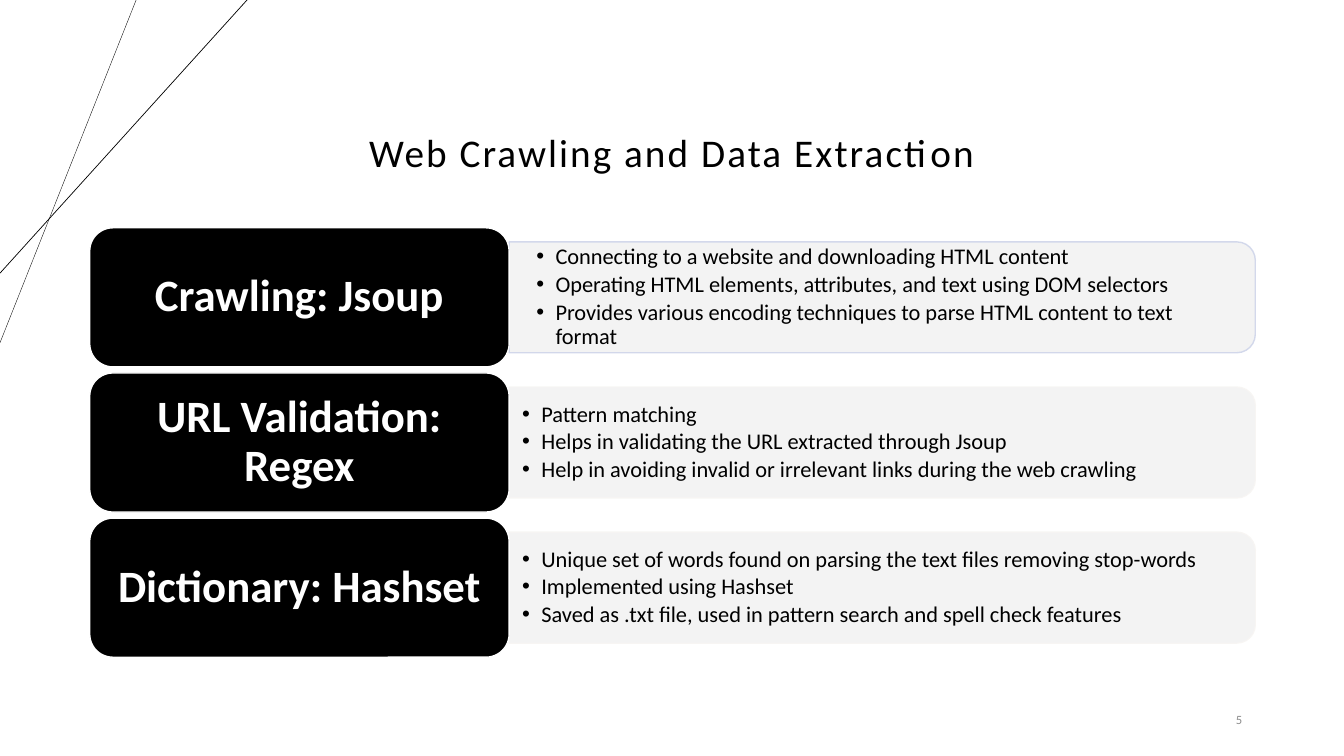
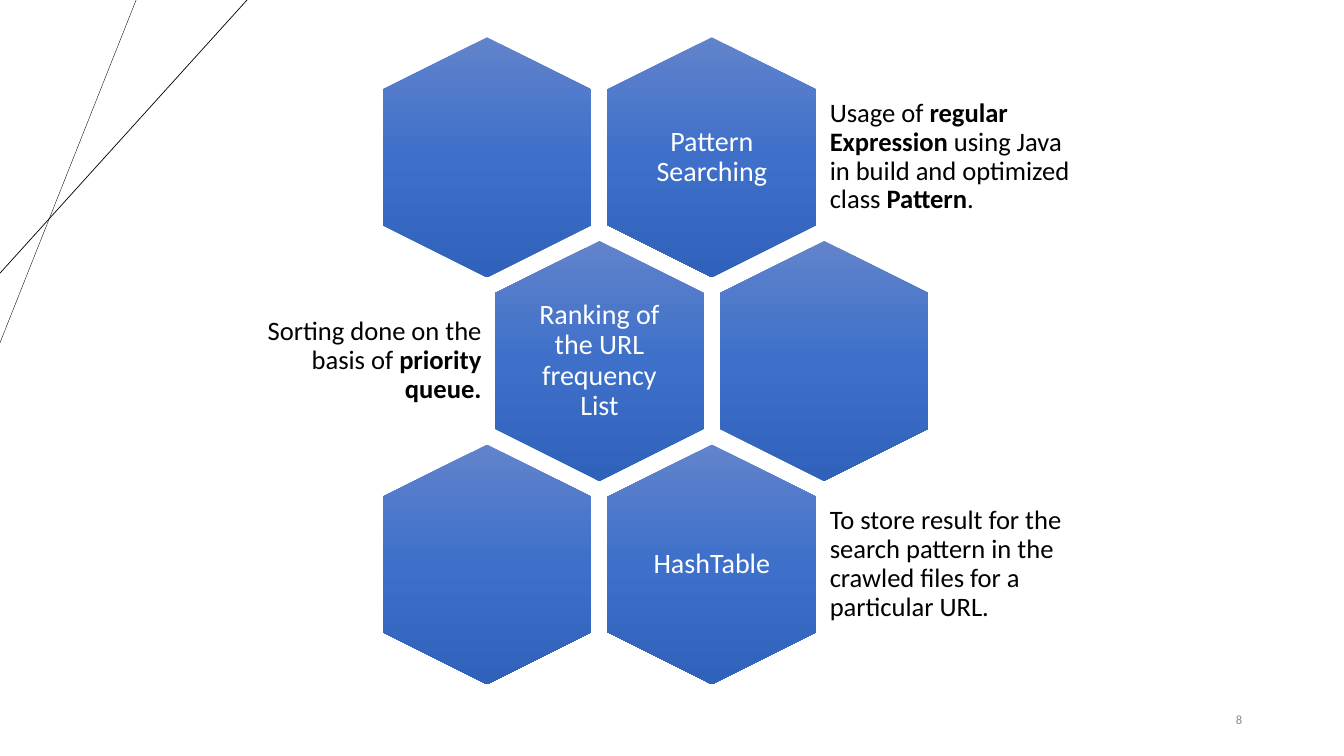
from lxml.etree import SubElement
from pptx import Presentation
from pptx.dml.color import RGBColor
from pptx.enum.shapes import MSO_CONNECTOR, MSO_SHAPE as SHAPE
from pptx.enum.text import MSO_ANCHOR as ANCHOR, PP_ALIGN as ALIGN
from pptx.oxml import parse_xml
from pptx.oxml.ns import nsdecls, qn
from pptx.util import Inches, Pt

# Shared look
SLIDE_W, SLIDE_H = 13.33, 7.5
FONT = "Calibri"
BLACK = RGBColor(0x00, 0x00, 0x00)
WHITE = RGBColor(0xFF, 0xFF, 0xFF)
GREY = RGBColor(0x8C, 0x8C, 0x8C)
PANEL = RGBColor(0xF2, 0xF2, 0xF2)
PANEL_EDGE = RGBColor(0xF7, 0xF5, 0xF3)
FIRST_EDGE = RGBColor(0xCF, 0xD5, 0xEA)
HEX_STOPS = [(0, "6183CB"), (50, "3E70CA"), (100, "3062BB")]

TITLE = dict(size=Pt(28), color=BLACK)
NUMBER = dict(size=Pt(9), color=GREY)
ROW_LABEL = dict(size=Pt(32), color=WHITE, bold=True)
BULLET = dict(size=Pt(16), color=BLACK)
HEX_LABEL = dict(size=Pt(20), color=WHITE)
CAPTION = dict(size=Pt(19), color=BLACK)

# Row grid: label column, panel column, row pitch
ROW_TOP, ROW_PITCH, LABEL_H = 2.26, 1.44, 1.38
LABEL_X, LABEL_W = 0.89, 4.16
PANEL_X, PANEL_W, PANEL_H = LABEL_X + LABEL_W, 7.4, 1.1

# Honeycomb grid: centre of the first cell and steps between cells
HEX_X, HEX_Y, HEX_DX, HEX_DY = 4.83, 1.56, 2.23, 2.02
HEX_LONG, HEX_SHORT = 2.38, 2.07
CAPTION_GAP, CAPTION_W, CAPTION_H = 1.09, 2.65, 1.43

ROWS = [
    ("Crawling: Jsoup", FIRST_EDGE, (0.27, 0.14), [
        "Connecting to a website and downloading HTML content",
        "Operating HTML elements, attributes, and text using DOM selectors",
        "Provides various encoding techniques to parse HTML content to text format"]),
    ("URL Validation: Regex", PANEL_EDGE, (0.13, 0.06), [
        "Pattern matching",
        "Helps in validating the URL extracted through Jsoup",
        "Help in avoiding invalid or irrelevant links during the web crawling"]),
    ("Dictionary: Hashset", PANEL_EDGE, (0.13, 0.06), [
        "Unique set of words found on parsing the text files removing stop-words",
        "Implemented using Hashset",
        "Saved as .txt file, used in pattern search and spell check features"]),
]

# Column, row, label, caption side and caption runs (text, bold)
CELLS = [
    (1, 0, "Pattern Searching", ALIGN.LEFT, [
        ("Usage of ", False), ("regular Expression", True),
        (" using Java in build and optimized class ", False),
        ("Pattern", True), (".", False)]),
    (0, 0, None, None, None),
    (0.5, 1, "Ranking of the URL frequency List", ALIGN.RIGHT, [
        ("Sorting done on the basis of ", False), ("priority queue.", True)]),
    (1.5, 1, None, None, None),
    (1, 2, "HashTable", ALIGN.LEFT, [
        ("To store result for the search pattern in the crawled files "
         "for a particular URL.", False)]),
    (0, 2, None, None, None),
]


def box(x, y, w, h):
    return [Inches(v) for v in (x, y, w, h)]


def centred(cx, cy, w, h):
    return box(cx - w / 2, cy - h / 2, w, h)


def add_run(p, text, fmt, bold=None):
    r = p.add_run()
    r.text = text
    r.font.name = FONT
    for name, value in fmt.items():
        if name == "color":
            r.font.color.rgb = value
        else:
            setattr(r.font, name, value)
    if bold is not None:
        r.font.bold = bold
    return r


def prepare_frame(s, inset=(0.1, 0.05)):
    tf = s.text_frame
    across, down = (Inches(v) for v in inset)
    frame = dict(word_wrap=True, vertical_anchor=ANCHOR.MIDDLE,
                 margin_left=across, margin_right=across,
                 margin_top=down, margin_bottom=down)
    for name, value in frame.items():
        setattr(tf, name, value)
    return tf


def write_line(s, runs, fmt, align, inset=(0.08, 0.08)):
    p = prepare_frame(s, inset).paragraphs[0]
    p.alignment, p.line_spacing = align, 0.9
    return [add_run(p, text, fmt, bold) for text, bold in runs]


def add_text(slide, place, runs, fmt, align, **frame):
    return write_line(slide.shapes.add_textbox(*place), runs, fmt, align, **frame)


def add_bullets(slide, place, items, inset):
    tf = prepare_frame(slide.shapes.add_textbox(*place), inset)
    for i, item in enumerate(items):
        p = tf.add_paragraph() if i else tf.paragraphs[0]
        p.line_spacing, p.space_after = 0.9, Pt(2.4)
        pPr = p._p.get_or_add_pPr()
        pPr.set("marL", str(Inches(0.19)))
        pPr.set("indent", str(-Inches(0.19)))
        SubElement(pPr, qn("a:buFont"), typeface="Arial")
        SubElement(pPr, qn("a:buChar"), char="•")
        add_run(p, item, BULLET)


def add_block(slide, kind, place, fill, edge):
    s = slide.shapes.add_shape(kind, *place)
    s.shadow.inherit = False
    s.fill.solid()
    s.fill.fore_color.rgb = fill
    s.line.color.rgb = edge
    s.line.width = Pt(1)
    return s


def add_base(prs, number):
    """Blank slide with the crossing corner lines and the slide number."""
    slide = prs.slides.add_slide(prs.slide_layouts[6])
    for top_x, left_y, width in ((1.35, 3.4, 0.25), (2.45, 2.71, 0.5)):
        line = slide.shapes.add_connector(
            MSO_CONNECTOR.STRAIGHT, *box(top_x, 0, 0, left_y))
        line.line.color.rgb = BLACK
        line.line.width = Pt(width)
        SubElement(line._element.spPr, qn("a:effectLst"))
    add_text(slide, box(SLIDE_W - 3.91, SLIDE_H - 0.55, 3, 0.4),
             [(number, None)], NUMBER, ALIGN.RIGHT, inset=(0.1, 0.05))
    return slide


def add_row(slide, index, label, edge, inset, items):
    top = ROW_TOP + index * ROW_PITCH
    middle = top + LABEL_H / 2
    # Panel turned so that its round corners face right
    panel = add_block(slide, SHAPE.ROUND_2_SAME_RECTANGLE,
                      centred(PANEL_X + PANEL_W / 2, middle, PANEL_H, PANEL_W),
                      PANEL, edge)
    panel.rotation = 90
    for color in panel._element.spPr.iter(qn("a:srgbClr")):
        SubElement(color, qn("a:alpha"), val="90000")
    add_bullets(slide, box(PANEL_X, middle - 0.5, 7.34, 1), items, inset)
    # Label
    s = add_block(slide, SHAPE.ROUNDED_RECTANGLE,
                  box(LABEL_X, top, LABEL_W, LABEL_H), BLACK, WHITE)
    write_line(s, [(label, None)], ROW_LABEL, ALIGN.CENTER, inset=(0.13, 0.07))


def add_hexagon(slide, cx, cy):
    s = slide.shapes.add_shape(
        SHAPE.HEXAGON, *centred(cx, cy, HEX_LONG, HEX_SHORT))
    s.rotation = 90
    s.shadow.inherit = False
    s.line.fill.background()
    s.fill.gradient()
    stops = "".join(f'<a:gs pos="{pos * 1000}"><a:srgbClr val="{color}"/></a:gs>'
                    for pos, color in HEX_STOPS)
    spPr = s._element.spPr
    spPr.replace(spPr.find(qn("a:gradFill")), parse_xml(
        f'<a:gradFill {nsdecls("a")} rotWithShape="0"><a:gsLst>{stops}</a:gsLst>'
        '<a:lin ang="5400000" scaled="0"/></a:gradFill>'))


def add_cell(slide, col, row, label, side, caption):
    cx, cy = HEX_X + col * HEX_DX, HEX_Y + row * HEX_DY
    add_hexagon(slide, cx, cy)
    if label:
        add_text(slide, centred(cx, cy, 1.42, 1.64),
                 [(label, None)], HEX_LABEL, ALIGN.CENTER)
        x = cx + CAPTION_GAP
        if side == ALIGN.RIGHT:
            x = cx - CAPTION_GAP - CAPTION_W
        add_text(slide, box(x, cy - CAPTION_H / 2, CAPTION_W, CAPTION_H),
                 caption, CAPTION, side)


def main():
    prs = Presentation()
    prs.slide_width, prs.slide_height = Inches(SLIDE_W), Inches(SLIDE_H)

    # Crawling and extraction
    slide = add_base(prs, "5")
    title, = add_text(slide, box(2.06, 0.81, 9.21, 1.45),
                      [("Web Crawling and Data Extraction", None)],
                      TITLE, ALIGN.CENTER)
    title._r.get_or_add_rPr().set("spc", "150")
    for i, row in enumerate(ROWS):
        add_row(slide, i, *row)

    # Search features
    slide = add_base(prs, "8")
    for cell in CELLS:
        add_cell(slide, *cell)

    prs.save("out.pptx")


if __name__ == "__main__":
    main()
